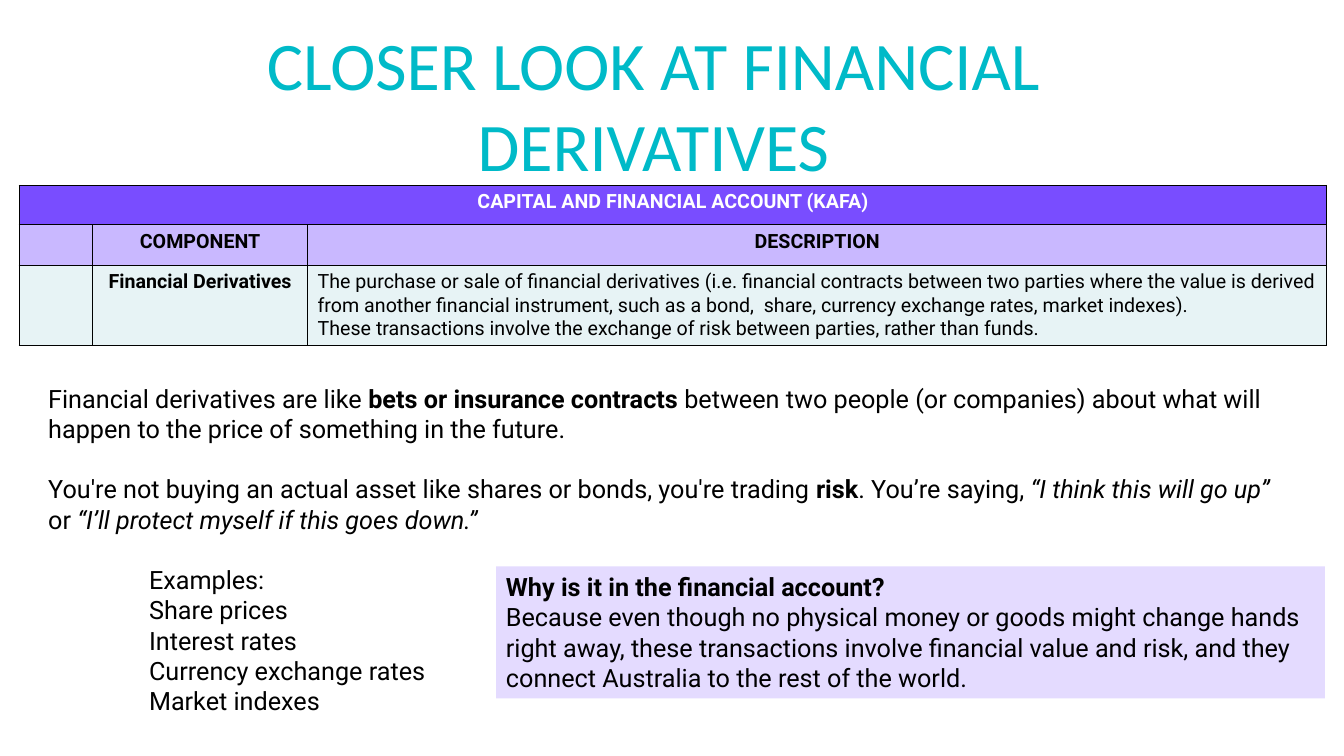
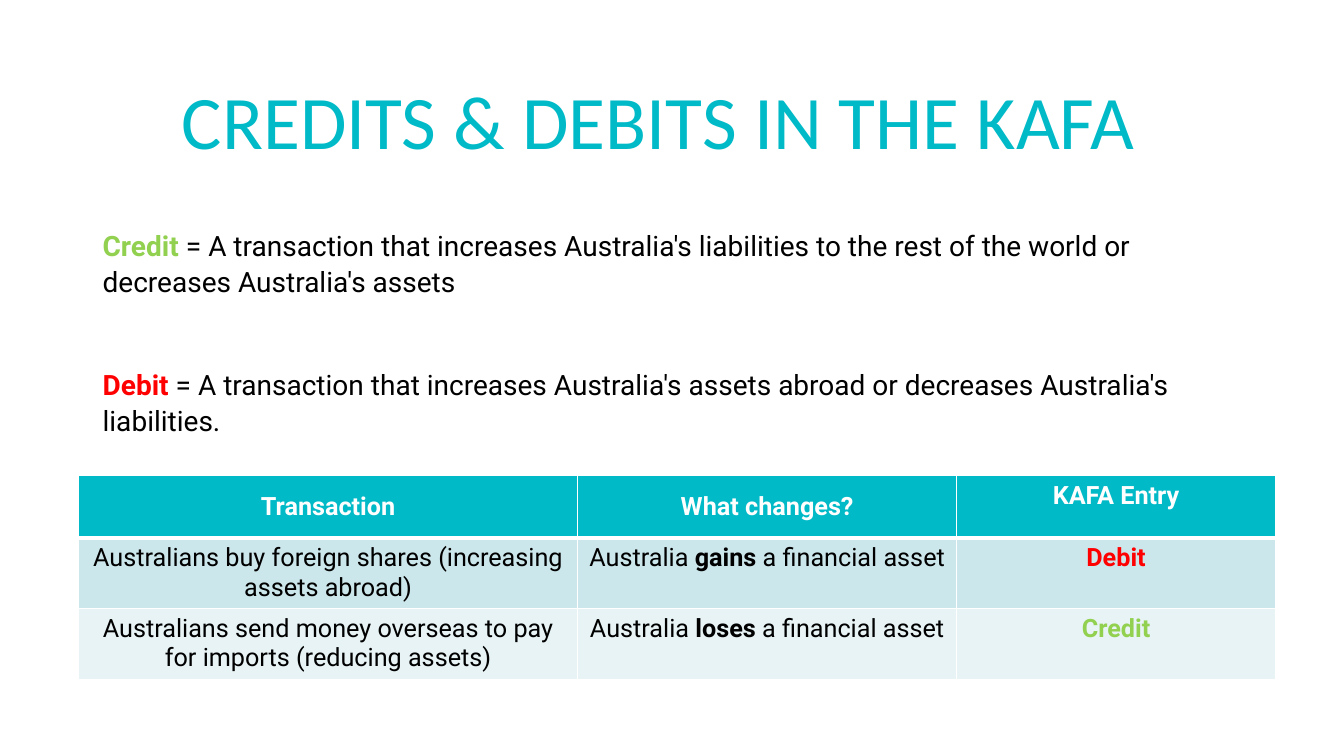
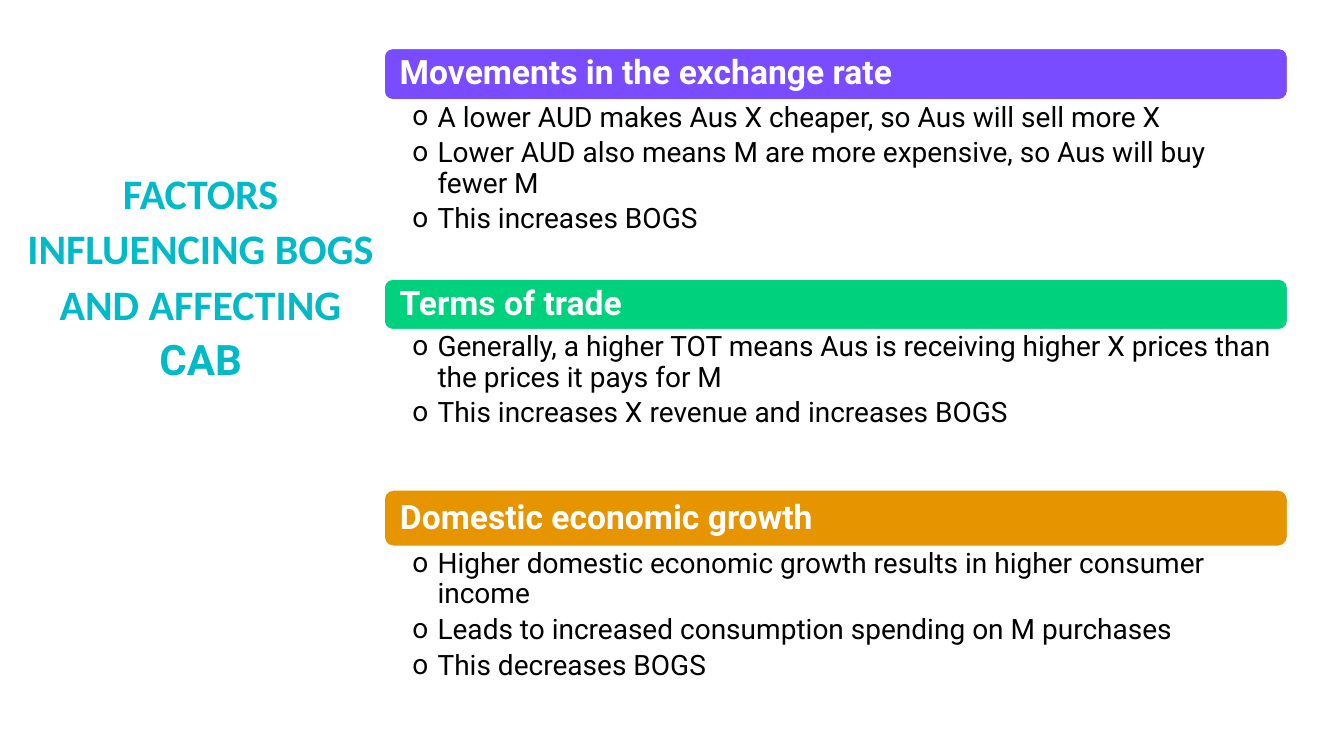
from itertools import accumulate
from lxml import etree
from pptx import Presentation
from pptx import util as u
from pptx.dml.color import RGBColor
from pptx.enum import shapes, text
from pptx.oxml import ns

THEME = {
    "w": 13.33, "h": 7.5,
    "color": {
        "teal": "00BAC8", "purple": "794DFF", "lilac": "C9B8FF", "pale": "E4DBFF",
        "ice": "E7F3F5", "mist": "CCE7EB", "green": "00D17D", "amber": "E69500",
        "lime": "92D050", "red": "FF0000", "white": "FFFFFF", "black": "000000",
    },
    "run": {
        "": {},
        "b": {"bold": True},
        "i": {"italic": True},
        "head": {"bold": True, "color": "white"},
        "credit": {"bold": True, "color": "lime"},
        "debit": {"bold": True, "color": "red"},
        "title": {"name": "Calibri", "color": "teal"},
        "side": {"name": "Calibri", "color": "teal", "bold": True},
        "side_end": {"color": "teal", "bold": True},
    },
    "size": {"title": 54, "long_title": 48.6, "side": 30, "bar": 24,
             "list": 20, "body": 18, "small": 14},
}
SIZE = THEME["size"]
CENTER = {"alignment": text.PP_ALIGN.CENTER}
MIDDLE = text.MSO_ANCHOR.MIDDLE

DERIVATIVES = {
    "title": ("CLOSER LOOK AT FINANCIAL DERIVATIVES", "long_title", (6.98, 10.53, 83.27, 14)),
    "table": {
        "at": (1.43, 24.53), "cols": (5.48, 15.98, 75.84), "rows": (5.2, 5.2, 10.53),
        "fills": ("purple", "lilac", "ice"), "size": "small", "line": "black",
        "cells": [
            [[[("CAPITAL AND FINANCIAL ACCOUNT (KAFA)", "head")]], [], []],
            [[], [[("COMPONENT", "b")]], [[("DESCRIPTION", "b")]]],
            [[], [[("Financial Derivatives", "b")]], [
                [("The purchase or sale of financial derivatives (i.e. financial contracts between two parties where the value is derived from another financial instrument, such as a bond,  share, currency exchange rates, market indexes).", "")],
                [("These transactions involve the exchange of risk between parties, rather than funds.", "")],
            ]],
        ],
    },
    "body": [
        [("Financial derivatives are like ", ""), ("bets or insurance contracts", "b"),
         (" between two people (or companies) about what will happen to the price of something in the future.", "")],
        [("You're not buying an actual asset like shares or bonds, you're trading ", ""), ("risk", "b"),
         (". You’re saying, ", ""), ("“I think this will go up”", "i"), (" or ", ""),
         ("“I’ll protect myself if this goes down.”", "i")],
    ],
    "examples": ["Examples:", "Share prices", "Interest rates", "Currency exchange rates", "Market indexes"],
    "callout": [
        [("Why is it in the financial account?", "b")],
        [("Because even though no physical money or goods might change hands right away, these transactions involve financial value and risk, and they connect Australia to the rest of the world.", "")],
    ],
}

ENTRIES = {
    "title": ("CREDITS & DEBITS IN THE KAFA", "title", (5.85, 2.4, 86.27, 19.33)),
    "body": [
        [("Credit ", "credit"),
         ("= A transaction that increases Australia's liabilities to the rest of the world or decreases Australia's assets", "")],
        [("Debit", "debit"),
         (" = A transaction that increases Australia's assets abroad or decreases Australia's liabilities.", "")],
    ],
    "table": {
        "at": (5.85, 62.93), "cols": (37.13, 28.21, 23.71), "rows": (8.27, 9.33, 9.33),
        "fills": ("teal", "mist", "ice"), "size": "body", "line": "white",
        "cells": [
            [[[("Transaction", "head")]], [[("What changes?", "head")]], [[("KAFA Entry", "head")]]],
            [[[("Australians buy foreign shares (increasing assets abroad)", "")]],
             [[("Australia ", ""), ("gains", "b"), (" a financial asset", "")]], [[("Debit", "debit")]]],
            [[[("Australians send money overseas to pay for imports (reducing assets)", "")]],
             [[("Australia ", ""), ("loses", "b"), (" a financial asset", "")]], [[("Credit", "credit")]]],
        ],
    },
}

FACTORS = {
    "side": [[("FACTORS INFLUENCING BOGS AND AFFECTING ", "side"), ("CAB", "side_end")]],
    "left": 28.58, "top": 6.4, "width": 67.22,
    "sections": [
        ("Movements in the exchange rate", "purple", 6.8, 23.73, [
            "A lower AUD makes Aus X cheaper, so Aus will sell more X",
            "Lower AUD also means M are more expensive, so Aus will buy fewer M",
            "This increases BOGS"]),
        ("Terms of trade", "green", 6.67, 21.2, [
            "Generally, a higher TOT means Aus is receiving higher X prices than the prices it pays for M",
            "This increases X revenue and increases BOGS"]),
        ("Domestic economic growth", "amber", 7.47, 18.8, [
            "Higher domestic economic growth results in higher consumer income",
            "Leads to increased consumption spending on M purchases",
            "This decreases BOGS"]),
    ],
}


def rgb(name):
    return RGBColor.from_string(THEME["color"][name])


def across(share):
    return u.Inches(THEME["w"] * share / 100)


def down(share):
    return u.Inches(THEME["h"] * share / 100)


def place(at):
    x, y, w, h = at
    return across(x), down(y), across(w), down(h)


def set_all(obj, values):
    for key, value in values.items():
        setattr(obj, key, value)


def paint(obj, name):
    obj.fill.solid()
    obj.fill.fore_color.rgb = rgb(name)


def write(tf, paras, size, fmt=None, left=0, bullet=False):
    for n, runs in enumerate(paras):
        p = tf.add_paragraph() if n else tf.paragraphs[0]
        values = dict(fmt or {})
        if not n:
            values.pop("space_before", None)
        set_all(p, values)
        pPr = p._p.get_or_add_pPr()
        if left:
            pPr.set("marL", str(u.Inches(left)))
        if bullet:
            pPr.set("indent", str(-u.Inches(left)))
            etree.SubElement(pPr, ns.qn("a:buFont")).set("typeface", "Roboto")
            etree.SubElement(pPr, ns.qn("a:buChar")).set("char", "o")
        for words, style in runs:
            r = p.add_run()
            r.text = words
            values = {"name": "Roboto", "size": u.Pt(SIZE[size]), "color": "black", **THEME["run"][style]}
            r.font.color.rgb = rgb(values.pop("color"))
            set_all(r.font, values)


def frame(sp, insets=None, anchor=text.MSO_ANCHOR.TOP):
    tf = sp.text_frame
    set_all(tf, {"word_wrap": True, "vertical_anchor": anchor})
    set_all(tf, {f"margin_{side}": u.Inches(v) for side, v in (insets or {}).items()})
    return tf


def add_text(s, at, paras, size, fmt=None, insets=None, anchor=text.MSO_ANCHOR.TOP, **kw):
    tf = frame(s.shapes.add_textbox(*place(at)), insets, anchor)
    write(tf, paras, size, fmt, **kw)
    return tf


def add_box(s, kind, at, fill, line=None):
    sp = s.shapes.add_shape(kind, *place(at))
    sp.shadow.inherit = False
    paint(sp, fill)
    if line:
        sp.line.color.rgb = rgb(line)
        sp.line.width = u.Pt(1)
    else:
        sp.line.fill.background()
    return sp


def add_title(s, words, size, at):
    add_text(s, at, [[(words, "title")]], size, CENTER, {"bottom": 0}, text.MSO_ANCHOR.BOTTOM)


def border(cell, color, widths):
    tcPr = cell._tc.get_or_add_tcPr()
    for n, (side, width) in enumerate(zip("LRTB", widths)):
        ln = etree.Element(ns.qn(f"a:ln{side}"), w=str(u.Pt(width)))
        fill = etree.SubElement(ln, ns.qn("a:solidFill"))
        etree.SubElement(fill, ns.qn("a:srgbClr")).set("val", THEME["color"][color])
        tcPr.insert(n, ln)


def add_grid(s, spec_, rule=1):
    cols, rows = spec_["cols"], spec_["rows"]
    at = (*spec_["at"], sum(cols), sum(rows))
    table = s.shapes.add_table(len(rows), len(cols), *place(at)).table
    set_all(table, {"first_row": False, "horz_banding": False})
    for col, share in zip(table.columns, cols):
        col.width = across(share)
    for i, (row, share) in enumerate(zip(table.rows, rows)):
        row.height = down(share)
        for cell, paras in zip(row.cells, spec_["cells"][i]):
            paint(cell, spec_["fills"][i])
            border(cell, spec_["line"], (1, 1, rule if i == 1 else 1, rule if i == 0 else 1))
            write(cell.text_frame, paras, spec_["size"], CENTER if len(paras) == 1 else None)
    return table


def derivatives(s):
    d = DERIVATIVES
    table = add_grid(s, d["table"])
    table.cell(0, 0).merge(table.cell(0, 2))
    add_title(s, *d["title"])
    gap = u.Pt(21.6)
    tf = add_text(s, (2.85, 50, 94.52, 49.87), d["body"], "body", {"space_before": gap})
    for n, words in enumerate(d["examples"]):
        p = tf.add_paragraph()
        p.space_before = 0 if n else gap
        p._p.get_or_add_pPr().set("marL", str(u.Inches(1)))
        r = p.add_run()
        r.text = words
        set_all(r.font, {"name": "Roboto", "size": u.Pt(SIZE["body"])})
        r.font.color.rgb = rgb("black")
    sp = add_box(s, shapes.MSO_SHAPE.RECTANGLE, (36.91, 74.93, 61.67, 17.47), "pale")
    write(frame(sp), d["callout"], "body", {"alignment": text.PP_ALIGN.LEFT})


def entries(s):
    add_title(s, *ENTRIES["title"])
    add_text(s, (6.9, 29.07, 86.27, 61.73), ENTRIES["body"], "list",
             {"line_spacing": 1.1, "space_before": u.Pt(46.5)})
    table = add_grid(s, ENTRIES["table"], rule=3)
    for j in range(2):
        table.cell(0, j).vertical_anchor = MIDDLE


def factors(s):
    f = FACTORS
    x, w = f["left"], f["width"]
    tops = accumulate((bar + body for _, _, bar, body, _ in f["sections"]), initial=f["top"])
    for y, (head, color, bar, body, points) in zip(tops, f["sections"]):
        sp = add_box(s, shapes.MSO_SHAPE.ROUNDED_RECTANGLE, (x, y, w, bar), color, "white")
        tf = frame(sp, {"left": .13, "right": .13, "top": 0, "bottom": 0}, MIDDLE)
        write(tf, [[(head, "head")]], "bar", {"line_spacing": .9, "alignment": text.PP_ALIGN.LEFT})
        add_text(s, (x, y + bar, w, body), [[(point, "")] for point in points], "list",
                 {"line_spacing": .9, "space_after": u.Pt(4)},
                 {"left": .28, "top": .03, "right": .16, "bottom": .03}, left=.25, bullet=True)
    add_text(s, (1.2, 20.8, 27.46, 58.27), f["side"], "side", {**CENTER, "line_spacing": 1.1})


def main():
    prs = Presentation()
    set_all(prs, {"slide_width": across(100), "slide_height": down(100)})
    for build in (derivatives, entries, factors):
        build(prs.slides.add_slide(prs.slide_layouts[6]))
    prs.save("out.pptx")


if __name__ == "__main__":
    main()
